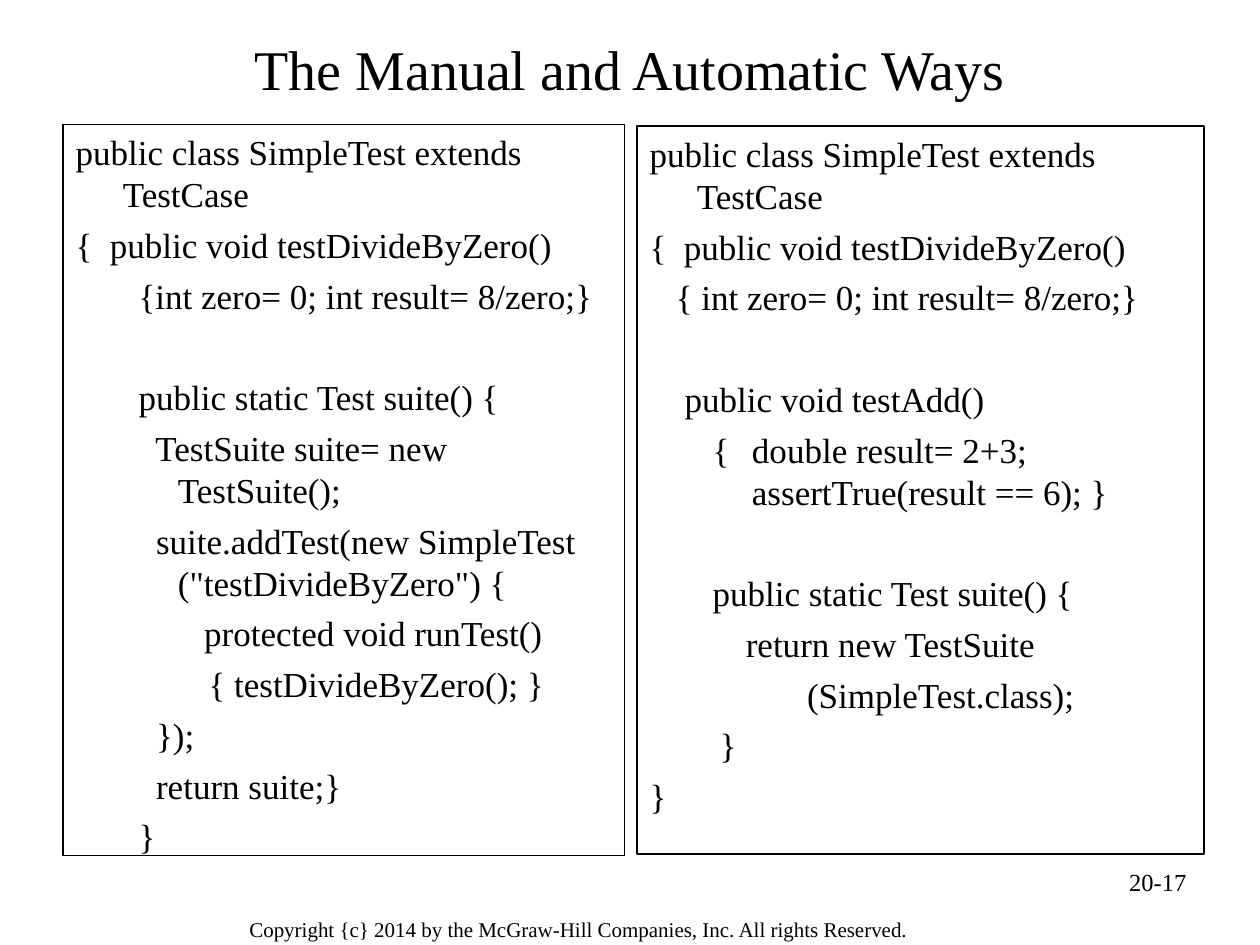
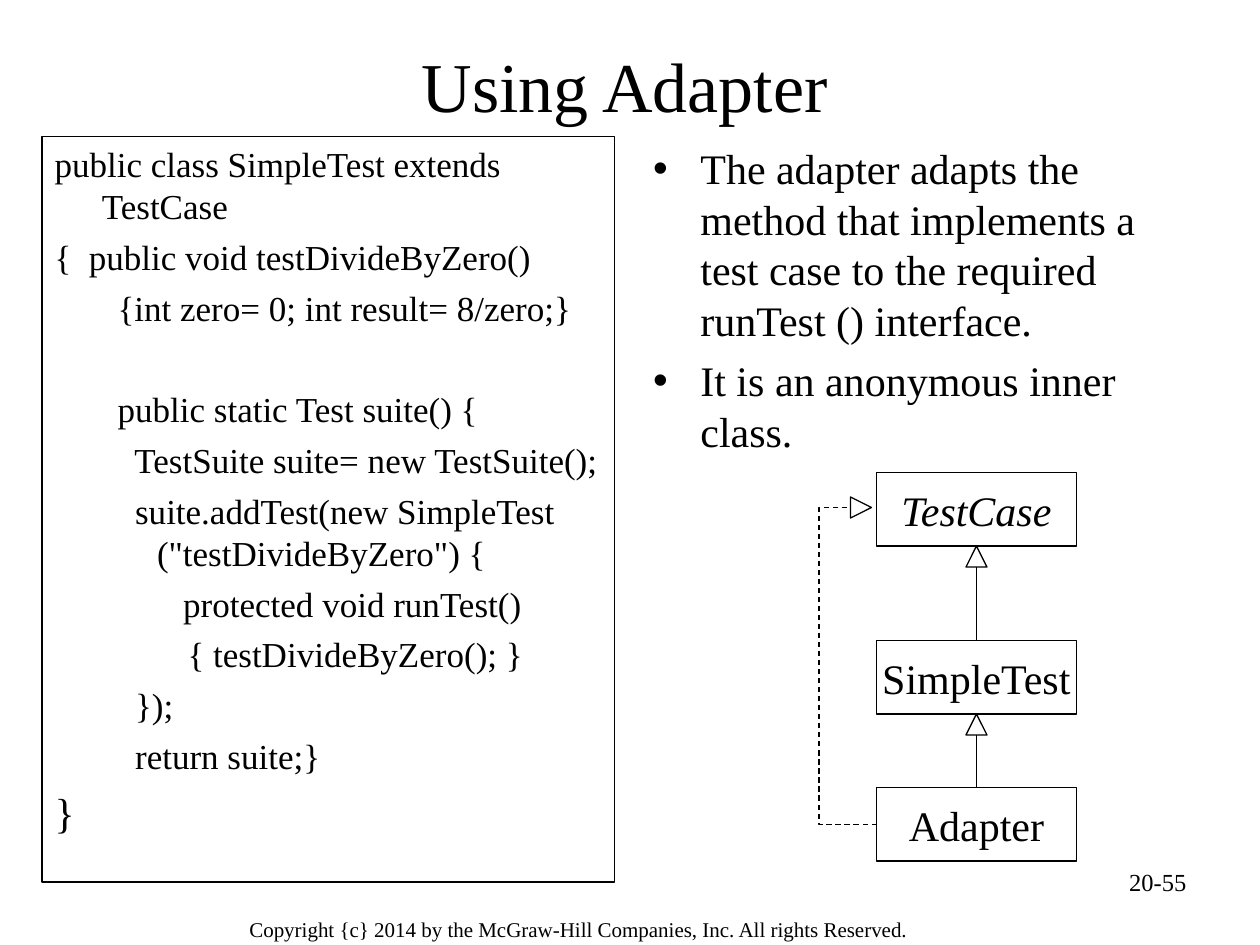
import pptx
import pptx.util
import pptx.dml.color
import pptx.enum.dml
import pptx.enum.shapes
import pptx.enum.text
import pptx.oxml.ns
from lxml import etree

Pt = pptx.util.Pt
ALIGN = pptx.enum.text.PP_ALIGN
ANCHOR = pptx.enum.text.MSO_ANCHOR
SHAPE = pptx.enum.shapes.MSO_SHAPE
CONNECTOR = pptx.enum.shapes.MSO_CONNECTOR
qn = pptx.oxml.ns.qn

BLACK = pptx.dml.color.RGBColor(0, 0, 0)
FONT = "Times New Roman"
CODE_SIZE, LIST_SIZE = 20, 24
INDENTS = [(27, -27), (58.5, -22.5)]

COPYRIGHT = "Copyright {c} 2014 by the McGraw-Hill Companies, Inc. All rights Reserved."

CLASS_START = [
    (0, "public class SimpleTest extends TestCase"),
    (0, "{  public void testDivideByZero()"),
]
MANUAL_CODE = CLASS_START + [
    (1, "{int zero= 0; int result= 8/zero;}"),
    (1, ""),
    (1, "public static Test suite() {"),
    (1, "  TestSuite suite= new TestSuite();"),
    (1, "  suite.addTest(new SimpleTest (\"testDivideByZero\") {"),
    (1, "\t   protected void runTest()"),
    (1, "        { testDivideByZero(); }"),
    (1, "  });"),
    (1, "  return suite;}"),
]
AUTOMATIC_CODE = CLASS_START + [
    (0, "   { int zero= 0; int result= 8/zero;}"),
    (0, ""),
    (0, "    public void testAdd()"),
    (1, "{\tdouble result= 2+3;\tassertTrue(result == 6); }"),
    (1, ""),
    (1, "public static Test suite() {"),
    (0, "           return new TestSuite"),
    (0, "                  (SimpleTest.class);"),
    (0, "        }"),
    (0, "}"),
]
ADAPTER_POINTS = [
    "The adapter adapts the method that implements a test case to the required runTest () interface.",
    "It is an anonymous inner class.",
]
CLASSES = [("TestCase", 270, True), ("SimpleTest", 366, False), ("Adapter", 450, False)]
CLASS_LEFT, CLASS_WIDTH, CLASS_HEIGHT = 501, 114, 42
ARROW = 12
DETOUR_X, DETOUR_END_X, DETOUR_END_Y = 468, 486, 290


def place(shape, area):
    shape.left, shape.top, shape.width, shape.height = map(Pt, area)


def style_runs(para, size, italic=False):
    for span in para.runs:
        span.font.name = FONT
        span.font.size = Pt(size)
        span.font.italic = italic
        span.font.color.rgb = BLACK


def outline(shape):
    shape.line.color.rgb = BLACK
    shape.line.width = Pt(0.75)


def add_label(page, text, area, size, align=ALIGN.LEFT):
    box = page.shapes.add_textbox(*map(Pt, area))
    box.text_frame.word_wrap = True
    para = box.text_frame.paragraphs[0]
    para.text = text
    para.alignment = align
    style_runs(para, size)


def add_page(deck, title, title_area, title_size, number):
    page = deck.slides.add_slide(deck.slide_layouts[3])
    heading = page.shapes.title
    place(heading, title_area)
    frame = heading.text_frame
    frame.text = title
    frame.auto_size = pptx.enum.text.MSO_AUTO_SIZE.NONE
    frame.vertical_anchor = ANCHOR.MIDDLE
    frame.paragraphs[0].alignment = ALIGN.CENTER
    style_runs(frame.paragraphs[0], title_size)
    add_label(page, COPYRIGHT, (135.4, 520, 446, 22), 12)
    add_label(page, number, (517, 492, 168, 37), 14, ALIGN.RIGHT)
    return page


def fill_body(body, area, rows, bulleted):
    place(body, area)
    frame = body.text_frame
    frame.word_wrap = True
    frame.auto_size = pptx.enum.text.MSO_AUTO_SIZE.NONE
    frame.vertical_anchor = ANCHOR.TOP
    gap, first = 0, True
    for level, text, size in rows:
        if not text:
            gap = size * 1.2 + 5
            continue
        para = frame.paragraphs[0] if first else frame.add_paragraph()
        para.text = text
        para.level = level
        settings = para._p.get_or_add_pPr()
        margin, indent = INDENTS[level]
        settings.set("marL", str(Pt(margin)))
        settings.set("indent", str(Pt(indent)))
        if not bulleted:
            etree.SubElement(settings, qn("a:buNone"))
        para.space_before = Pt(0 if first else size / 4 + gap)
        style_runs(para, size)
        gap, first = 0, False


def add_code(body, area, code, closing=()):
    rows = [(level, text, CODE_SIZE) for level, text in code]
    fill_body(body, area, rows + list(closing), bulleted=False)
    outline(body)


def add_outlined(page, kind, area):
    shape = page.shapes.add_shape(kind, *map(Pt, area))
    shape.shadow.inherit = False
    shape.fill.background()
    outline(shape)
    return shape


def add_class(page, name, top, italic):
    box = add_outlined(page, SHAPE.RECTANGLE, (CLASS_LEFT, top, CLASS_WIDTH, CLASS_HEIGHT))
    frame = box.text_frame
    frame.margin_left = frame.margin_right = frame.margin_top = frame.margin_bottom = 0
    frame.word_wrap = False
    frame.vertical_anchor = ANCHOR.MIDDLE
    frame.text = name
    frame.paragraphs[0].alignment = ALIGN.CENTER
    style_runs(frame.paragraphs[0], LIST_SIZE, italic)
    return box


def add_line(page, kind, start, end):
    line = page.shapes.add_connector(kind, *map(Pt, start + end))
    outline(line)
    etree.SubElement(line._element.spPr, qn("a:effectLst"))
    return line


def add_class_diagram(page):
    boxes = [add_class(page, *entry) for entry in CLASSES]
    center = CLASS_LEFT + CLASS_WIDTH / 2
    tops = [top for name, top, italic in CLASSES]
    for parent_top, child_top, child in zip(tops, tops[1:], boxes[1:]):
        tip = parent_top + CLASS_HEIGHT
        add_outlined(page, SHAPE.ISOSCELES_TRIANGLE, (center - ARROW / 2, tip, ARROW, ARROW))
        line = add_line(page, CONNECTOR.STRAIGHT, (center, child_top), (center, tip + ARROW))
        line.begin_connect(child, 0)

    head = add_outlined(page, SHAPE.ISOSCELES_TRIANGLE,
                        (DETOUR_END_X, DETOUR_END_Y - ARROW / 2, ARROW, ARROW))
    head.rotation = 90
    start = (CLASS_LEFT, tops[-1] + CLASS_HEIGHT / 2)
    detour = add_line(page, CONNECTOR.ELBOW, start, (DETOUR_END_X, DETOUR_END_Y))
    detour.line.dash_style = pptx.enum.dml.MSO_LINE.DASH
    bend = (CLASS_LEFT - DETOUR_X) / (CLASS_LEFT - DETOUR_END_X)
    adjustments = detour._element.spPr.find(qn("a:prstGeom")).find(qn("a:avLst"))
    etree.SubElement(adjustments, qn("a:gd"), name="adj1", fmla=f"val {round(bend * 100000)}")


def main():
    deck = pptx.Presentation()
    deck.slide_width, deck.slide_height = Pt(720), Pt(540)

    page = add_page(deck, "The Manual and Automatic Ways", (36, 12, 648, 54), 32, "20-17")
    add_code(page.placeholders[1], (36, 71, 321, 418), MANUAL_CODE, [(1, "}", CODE_SIZE)])
    add_code(page.placeholders[2], (364, 72, 324, 416), AUTOMATIC_CODE)

    page = add_page(deck, "Using Adapter", (24, 18, 666, 60), 40, "20-55")
    add_code(page.placeholders[1], (24, 78, 327, 426), MANUAL_CODE, [(0, "}", LIST_SIZE)])
    points = [(0, text, LIST_SIZE) for text in ADAPTER_POINTS]
    fill_body(page.placeholders[2], (366, 78, 327, 192), points, bulleted=True)
    add_class_diagram(page)

    deck.save("out.pptx")


if __name__ == "__main__":
    main()
